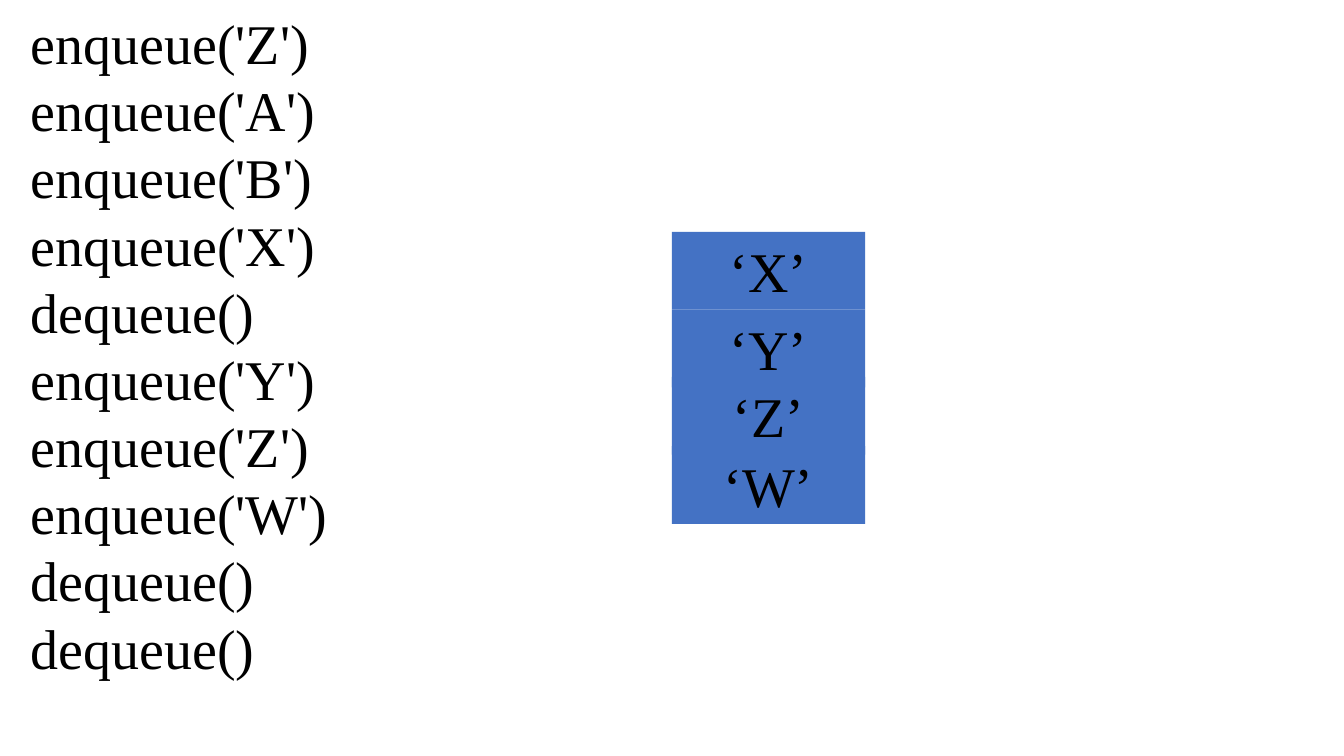
from pptx import Presentation
from pptx.dml.color import RGBColor as Rgb
from pptx.enum.shapes import MSO_SHAPE as Shape
from pptx.enum.text import MSO_ANCHOR as Anchor, PP_ALIGN as Align
from pptx.util import Pt

PX = 9525
COLORS = {"cell": "4472C4", "text": "000000"}
FONT = "Times New Roman"
CALLS = [
    "enqueue('Z')", "enqueue('A')", "enqueue('B')", "enqueue('X')", "dequeue()",
    "enqueue('Y')", "enqueue('Z')", "enqueue('W')", "dequeue()", "dequeue()",
]
QUEUE = [("‘X’", 0), ("‘Y’", 74), ("‘Z’", 138), ("‘W’", 204)]


def scale(*box):
    return [n * PX for n in box]


def add_run(para, text):
    run = para.add_run()
    run.text = text
    run.font.name = FONT
    run.font.size = Pt(40)
    run.font.color.rgb = Rgb.from_string(COLORS["text"])


def add_calls(slide, x, y, w, h):
    frame = slide.shapes.add_textbox(*scale(x, y, w, h)).text_frame
    frame.word_wrap = False
    frame.vertical_anchor = Anchor.MIDDLE
    for i, call in enumerate(CALLS):
        para = frame.add_paragraph() if i else frame.paragraphs[0]
        para.line_spacing = Pt(48)
        add_run(para, call)


def add_queue(slide, x, y, w, h):
    """Stack the queued items from the top; h is the height of one cell."""
    group = slide.shapes.add_group_shape()
    for item, drop in QUEUE:
        cell = group.shapes.add_shape(Shape.RECTANGLE, *scale(x, y + drop, w, h))
        cell.shadow.inherit = False
        cell.fill.solid()
        cell.fill.fore_color.rgb = Rgb.from_string(COLORS["cell"])
        cell.line.fill.background()
        frame = cell.text_frame
        frame.word_wrap = True
        frame.vertical_anchor = Anchor.TOP
        para = frame.paragraphs[0]
        para.alignment = Align.CENTER
        add_run(para, item)


def main():
    deck = Presentation()
    deck.slide_width, deck.slide_height = scale(1280, 720)
    slide = deck.slides.add_slide(deck.slide_layouts[6])
    add_calls(slide, 20, 0, 305, 656)
    add_queue(slide, 640, 221, 184, 74)
    deck.save("out.pptx")


if __name__ == "__main__":
    main()
